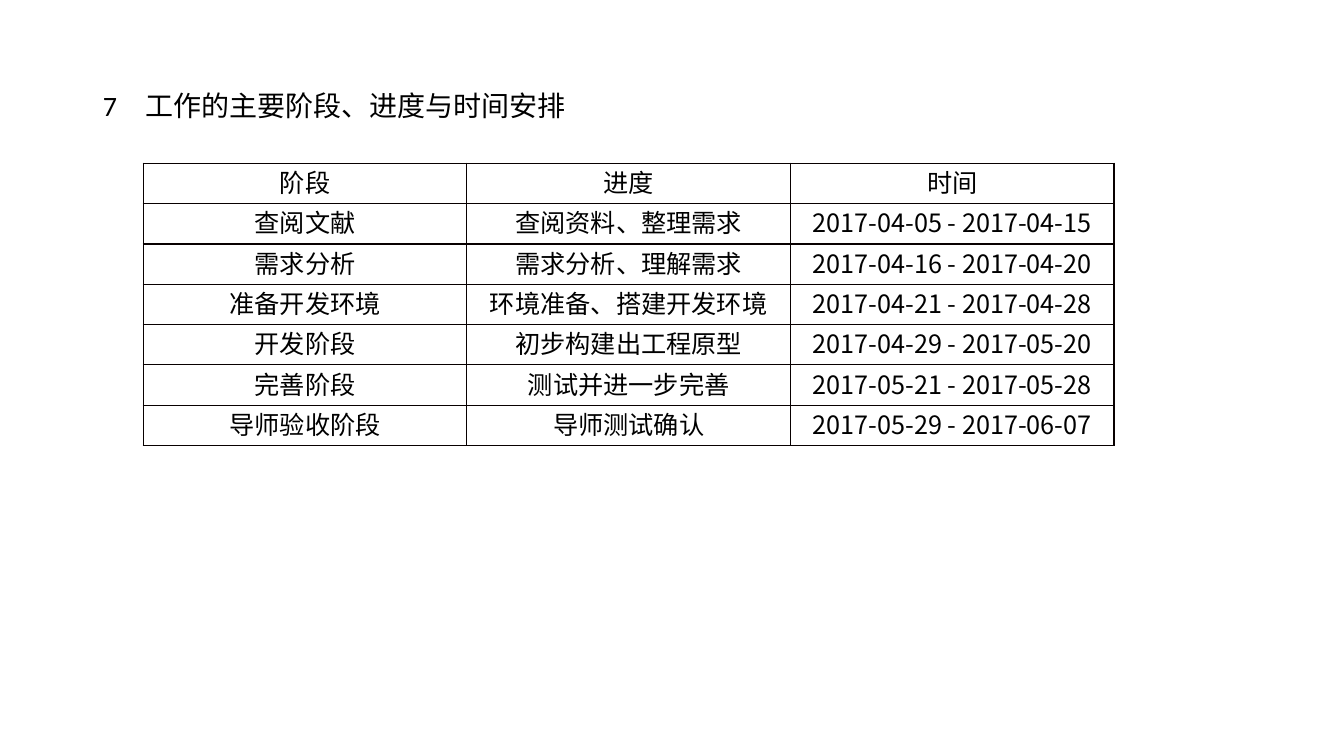
from dataclasses import dataclass

from lxml import etree
from pptx import Presentation
from pptx.dml.color import RGBColor
from pptx.enum.text import MSO_ANCHOR, PP_ALIGN
from pptx.oxml.ns import qn
from pptx.util import Inches, Pt

TOP = MSO_ANCHOR.TOP
LEFT, CENTER = PP_ALIGN.LEFT, PP_ALIGN.CENTER


@dataclass(frozen=True)
class Theme:
    """Colours, fonts and type sizes of the slide."""
    ink: str = "000000"
    rule: str = "080000"
    head_font: str = "Calibri"
    cell_font: str = "Noto Sans CJK SC"
    head_size: int = 20
    cell_size: int = 18
    rule_width: float = 1


class Page:
    """Holds the style and the current slide."""

    def __init__(self, deck, theme):
        """Add a title-only slide to the deck."""
        self.theme = theme
        self.slide = deck.slides.add_slide(deck.slide_layouts[5])

    def style(self, para, font, size, align):
        """Set font, size, colour and alignment of a paragraph."""
        para.alignment = align
        para.font.name = font
        para.font.size = Pt(size)
        para.font.color.rgb = RGBColor.from_string(self.theme.ink)

    def title(self, text, left, top, width, height):
        """Place and fill the title."""
        shape = self.slide.shapes.title
        shape.left, shape.top = Inches(left), Inches(top)
        shape.width, shape.height = Inches(width), Inches(height)
        frame = shape.text_frame
        frame.text = text
        frame.word_wrap = True
        frame.vertical_anchor = TOP
        para = frame.paragraphs[0]
        para.line_spacing = 0.9
        self.style(para, self.theme.head_font, self.theme.head_size, LEFT)

    def border(self, cell):
        """Draw a thin rule on all four sides of a cell."""
        props = cell._tc.get_or_add_tcPr()
        for side in ("a:lnL", "a:lnR", "a:lnT", "a:lnB"):
            line = etree.SubElement(props, qn(side), w=str(Pt(self.theme.rule_width)))
            fill = etree.SubElement(line, qn("a:solidFill"))
            etree.SubElement(fill, qn("a:srgbClr"), val=self.theme.rule)

    def table(self, rows, left, top, col_width, row_height):
        """Add a plain ruled table with equal columns and rows."""
        count, span = len(rows), len(rows[0])
        table = self.slide.shapes.add_table(
            count, span, Inches(left), Inches(top),
            Inches(col_width * span), Inches(row_height * count)).table
        table.first_row = table.horz_banding = False
        for col in table.columns:
            col.width = Inches(col_width)
        for row, texts in zip(table.rows, rows):
            row.height = Inches(row_height)
            for cell, text in zip(row.cells, texts):
                cell.text = text
                cell.margin_left = cell.margin_right = 0
                cell.margin_top = cell.margin_bottom = 0
                self.style(cell.text_frame.paragraphs[0], self.theme.cell_font,
                           self.theme.cell_size, CENTER)
                self.border(cell)
                cell.fill.background()


PLAN = [
    ("阶段", "进度", "时间"),
    ("查阅文献", "查阅资料、整理需求", "2017-04-05 - 2017-04-15"),
    ("需求分析", "需求分析、理解需求", "2017-04-16 - 2017-04-20"),
    ("准备开发环境", "环境准备、搭建开发环境", "2017-04-21 - 2017-04-28"),
    ("开发阶段", "初步构建出工程原型", "2017-04-29 - 2017-05-20"),
    ("完善阶段", "测试并进一步完善", "2017-05-21 - 2017-05-28"),
    ("导师验收阶段", "导师测试确认", "2017-05-29 - 2017-06-07"),
]


def main():
    """Build the schedule slide and save it."""
    deck = Presentation()
    deck.slide_width, deck.slide_height = Inches(13.33), Inches(7.5)
    page = Page(deck, Theme())
    page.title("7\u3000工作的主要阶段、进度与时间安排", 0.92, 0.87, 11.5, 0.6)
    page.table(PLAN, 1.42, 1.62, 3.21, 0.4)
    deck.save("out.pptx")


main()
